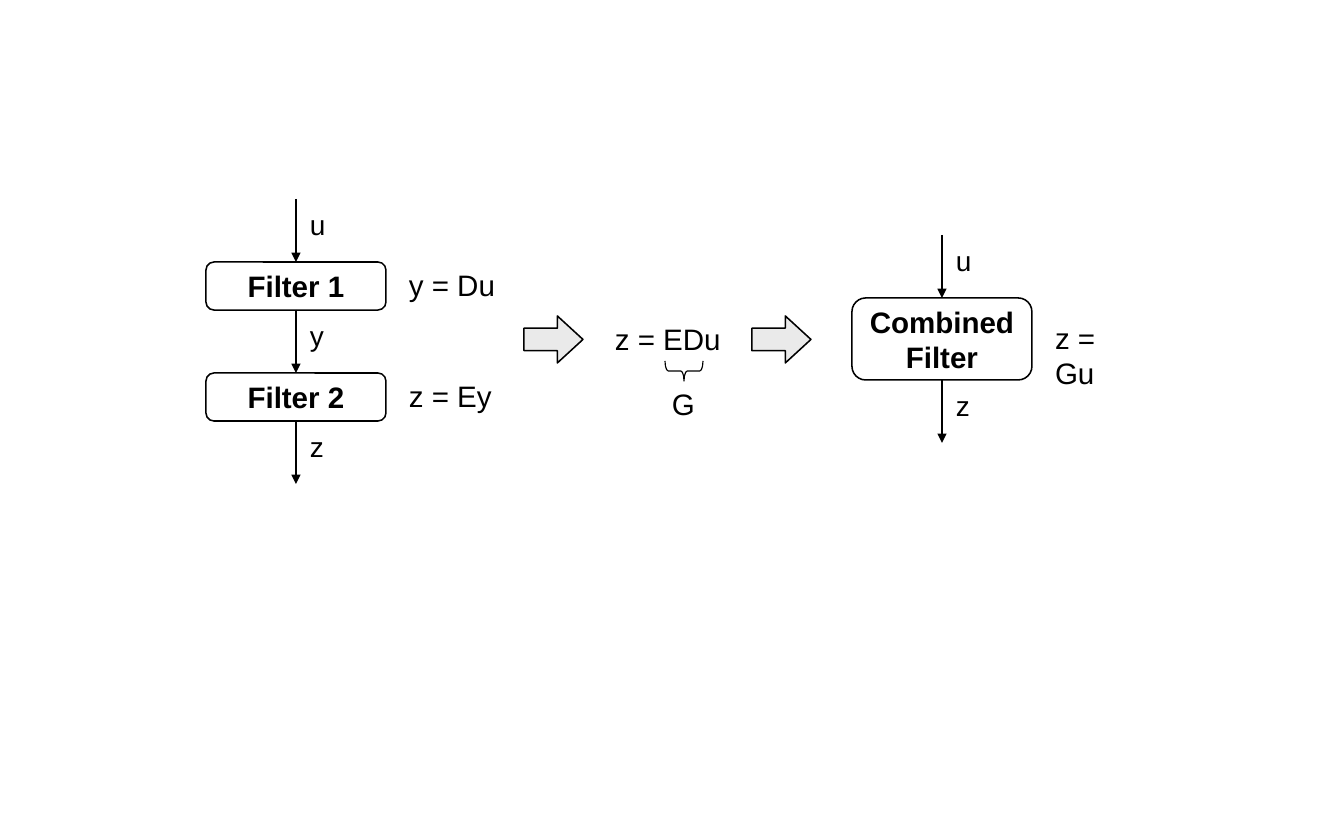
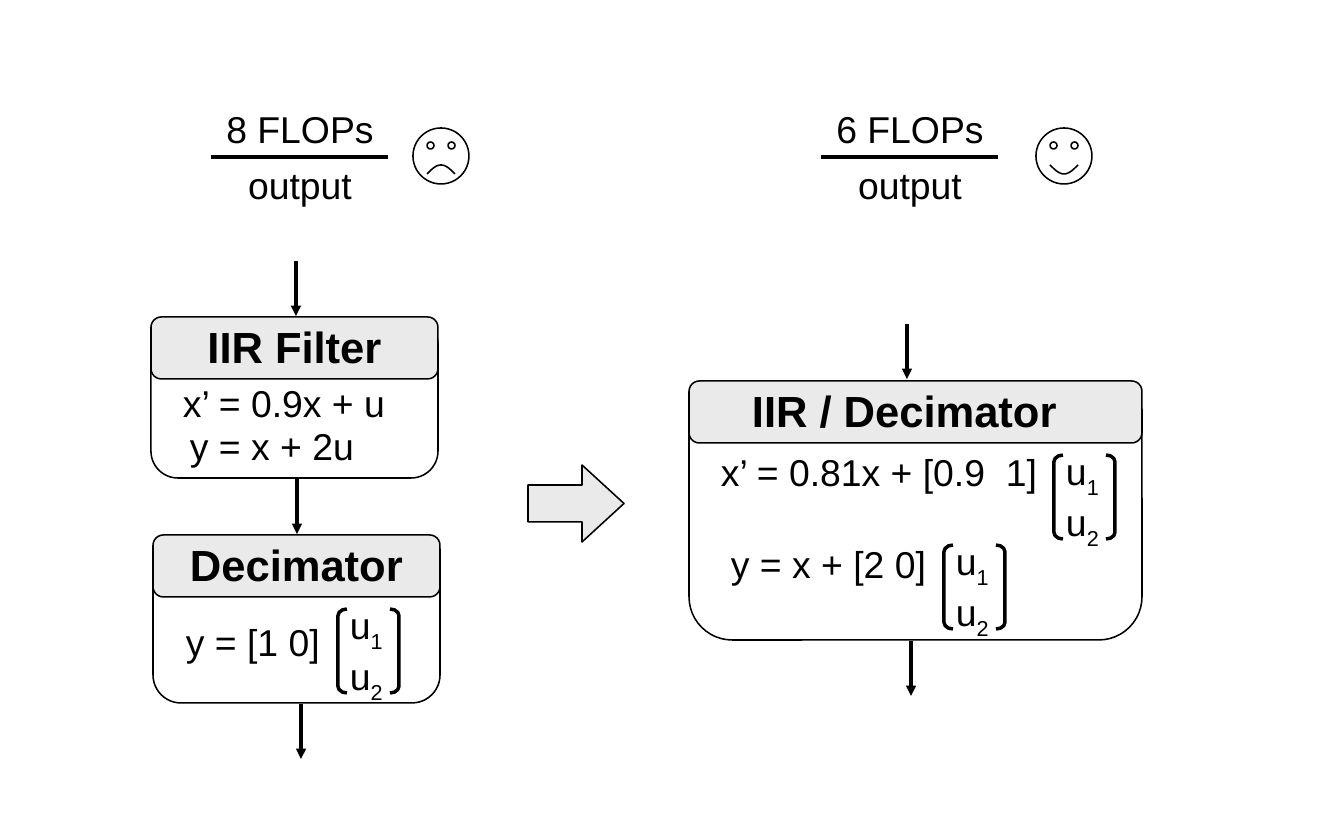
import math

from pptx import Presentation
from pptx import util as u
from pptx.dml.color import RGBColor
from pptx.enum import shapes, text
from pptx.oxml import ns
from lxml import etree

SCALE = 914400 / 112
COLOURS = {"ink": "000000", "shade": "EAEAEA"}
FONT = "Arial"
EQUATION = dict(size=19, inset=12)
KIND = shapes.MSO_SHAPE


def px(length):
    """Turn a length in px into EMU."""
    return u.Emu(round(length * SCALE))


def colour(name):
    """Look up a named colour."""
    return RGBColor.from_string(COLOURS[name])


def outline(shape, weight):
    """Give a shape or connector an ink line."""
    shape.line.color.rgb = colour("ink")
    shape.line.width = u.Pt(weight)


def write(frame, content, size=24, bold=False, align="LEFT", inset=11, wrap=False):
    """Fill a text frame; each line of content becomes a paragraph."""
    frame.word_wrap = wrap
    frame.margin_left = frame.margin_right = px(inset)
    frame.margin_top = frame.margin_bottom = px(inset / 2)
    for index, line in enumerate(content.split("\n")):
        para = frame.add_paragraph() if index else frame.paragraphs[0]
        para.alignment = getattr(text.PP_ALIGN, align)
        span = para.add_run()
        span.text = line
        style(span, size, bold)


def style(span, size, bold=False):
    """Set the font of a run."""
    span.font.name = FONT
    span.font.size = u.Pt(size)
    span.font.bold = bold
    span.font.color.rgb = colour("ink")


def add_label(page, left, top, width, height, content, **format):
    """Add a text box that fits its text."""
    box = page.shapes.add_textbox(px(left), px(top), px(width), px(height))
    write(box.text_frame, content, **format)
    box.text_frame.auto_size = text.MSO_AUTO_SIZE.SHAPE_TO_FIT_TEXT
    return box


def add_outline(page, kind, left, top, width, height, fill=None, weight=1, adjust=()):
    """Add a preset shape with an ink line."""
    shape = page.shapes.add_shape(kind, px(left), px(top), px(width), px(height))
    shape.shadow.inherit = False
    if fill:
        shape.fill.solid()
        shape.fill.fore_color.rgb = colour(fill)
    else:
        shape.fill.background()
    outline(shape, weight)
    for index, value in enumerate(adjust):
        shape.adjustments[index] = value
    return shape


def add_line(page, left, top, right, bottom, weight, arrow=False):
    """Add a straight line, with an arrowhead at its end if asked."""
    line = page.shapes.add_connector(
        shapes.MSO_CONNECTOR.STRAIGHT, px(left), px(top), px(right), px(bottom))
    outline(line, weight)
    if arrow:
        etree.SubElement(line.line._get_or_add_ln(), ns.qn("a:tailEnd"), type="triangle")
    etree.SubElement(line._element.spPr, ns.qn("a:effectLst"))


def add_step(page, left, top, width, height):
    """Add a shaded block arrow between stages."""
    add_outline(page, KIND.RIGHT_ARROW, left, top, width, height, "shade",
                adjust=(0.479, 0.545))


def add_flow(page, x, top, name):
    """Add a labelled arrow and return where it ends."""
    end = top + 63
    add_line(page, x, top, x, end, 0.75, arrow=True)
    add_label(page, x + 3, top + 3, 37, 45, name, size=18)
    return end


def filter_chain(page, left, top, stages, output):
    """Stack filter boxes, each with its input arrow and equation."""
    width = 180
    middle = left + width / 2
    for signal, name, height, equation in stages:
        top = add_flow(page, middle, top, signal)
        box = add_outline(page, KIND.ROUNDED_RECTANGLE, left, top, width, height)
        write(box.text_frame, name, bold=True, align="CENTER", **EQUATION)
        box.text_frame.vertical_anchor = text.MSO_ANCHOR.MIDDLE
        add_label(page, left + 191, top + height / 2 - 25, 110, 47, equation, **EQUATION)
        top += height
    add_flow(page, middle, top, output)


def substitution(page, left, top):
    """Write the merged equation with a brace under its factor."""
    add_label(page, left, top, 130, 47, "z = EDu", **EQUATION)
    brace = add_outline(page, KIND.RIGHT_BRACE, left + 71, top + 37, 20, 38,
                        weight=0.75, adjust=(0.16, 0.5))
    brace.rotation = 90
    add_label(page, left + 57, top + 65, 47, 47, "G", **EQUATION)


def input_vector(page, left, top):
    """Write the column of two inputs between brackets."""
    box = add_label(page, left + 1, top - 12, 55, 113, "u")
    para = box.text_frame.paragraphs[0]
    for index, content in enumerate(("1", "u", "2")):
        if content == "u":
            para.add_line_break()
        span = para.add_run()
        span.text = content
        style(span, 24)
        if content != "u":
            span.font._element.set("baseline", "-25000")
    for kind, offset in ((KIND.LEFT_BRACKET, 0), (KIND.RIGHT_BRACKET, 52)):
        add_outline(page, kind, left + offset, top, 9, 84, weight=2.25, adjust=(0.75,))


def panel(page, left, top, width, height, title, title_width, equations,
          vectors=(), shift=0):
    """Draw a titled panel with equations and vectors placed inside it."""
    add_outline(page, KIND.ROUNDED_RECTANGLE, left, top, width, height)
    add_outline(page, KIND.ROUNDED_RECTANGLE, left, top, width, 62, "shade")
    add_label(page, left + (width - title_width) / 2 + shift, top - 3, title_width, 64,
              title, size=28, bold=True)
    for x, y, length, content in equations:
        add_label(page, left + x, top + y, length, 56, content)
    for x, y in vectors:
        input_vector(page, left + x, top + y)


def cost(page, left, top, amount):
    """Write a cost per output as a fraction."""
    for row, content in enumerate((amount, "output")):
        add_label(page, left, top + 56 * row, 196, 56, content, align="CENTER", wrap=True)
    add_line(page, left + 9, top + 56, left + 186, top + 56, 2)


def face(page, left, top, happy):
    """Draw a round face that smiles or frowns."""
    add_outline(page, KIND.OVAL, left, top, 56, 56)
    for offset in (14, 35):
        add_outline(page, KIND.OVAL, left + offset, top + 14, 7, 7)
    points = []
    for index in range(17):
        bend = math.sin(math.pi * index / 16)
        depth = 9 * (bend if happy else 1 - bend)
        points.append((px(left + 14 + 28 * index / 16), px(top + 37 + depth)))
    builder = page.shapes.build_freeform(*points[0])
    builder.add_line_segments(points[1:], close=False)
    mouth = builder.convert_to_shape()
    mouth.shadow.inherit = False
    mouth.fill.background()
    outline(mouth, 1)


def combination_slide(page):
    """Show how two filters merge into one."""
    filter_chain(page, 206, 199, [("u", "Filter 1", 48, "y = Du"),
                                  ("y", "Filter 2", 48, "z = Ey")], "z")
    add_step(page, 524, 316, 59, 47)
    substitution(page, 603, 315)
    add_step(page, 752, 316, 59, 47)
    filter_chain(page, 852, 235, [("u", "Combined\nFilter", 82, "z = Gu")], "z")


def decimator_slide(page):
    """Compare a filter and decimator with their combined form."""
    panel(page, 151, 317, 287, 161, "IIR Filter", 196,
          [(21, 58, 226, "x’ = 0.9x + u"), (28, 101, 196, "y = x + 2u")])
    panel(page, 153, 535, 287, 168, "Decimator", 235,
          [(22, 79, 156, "y = [1 0]")], [(185, 74)])
    panel(page, 689, 381, 453, 259, "IIR / Decimator", 327,
          [(21, 63, 341, "x’ = 0.81x + [0.9  1]"), (31, 155, 227, "y = x + [2 0]")],
          [(365, 74), (255, 164)], shift=-11)
    for x, top in ((296, 261), (297, 479), (301, 704), (907, 324), (911, 641)):
        add_line(page, x, top, x, top + 55, 2.25, arrow=True)
    cost(page, 202, 101, "8 FLOPs")
    face(page, 413, 128, happy=False)
    cost(page, 812, 101, "6 FLOPs")
    face(page, 1036, 128, happy=True)
    add_step(page, 528, 465, 96, 77)


def main():
    """Build the deck."""
    deck = Presentation()
    deck.slide_width, deck.slide_height = px(1344), px(840)
    for build in (combination_slide, decimator_slide):
        build(deck.slides.add_slide(deck.slide_layouts[6]))
    deck.save("out.pptx")


if __name__ == "__main__":
    main()
